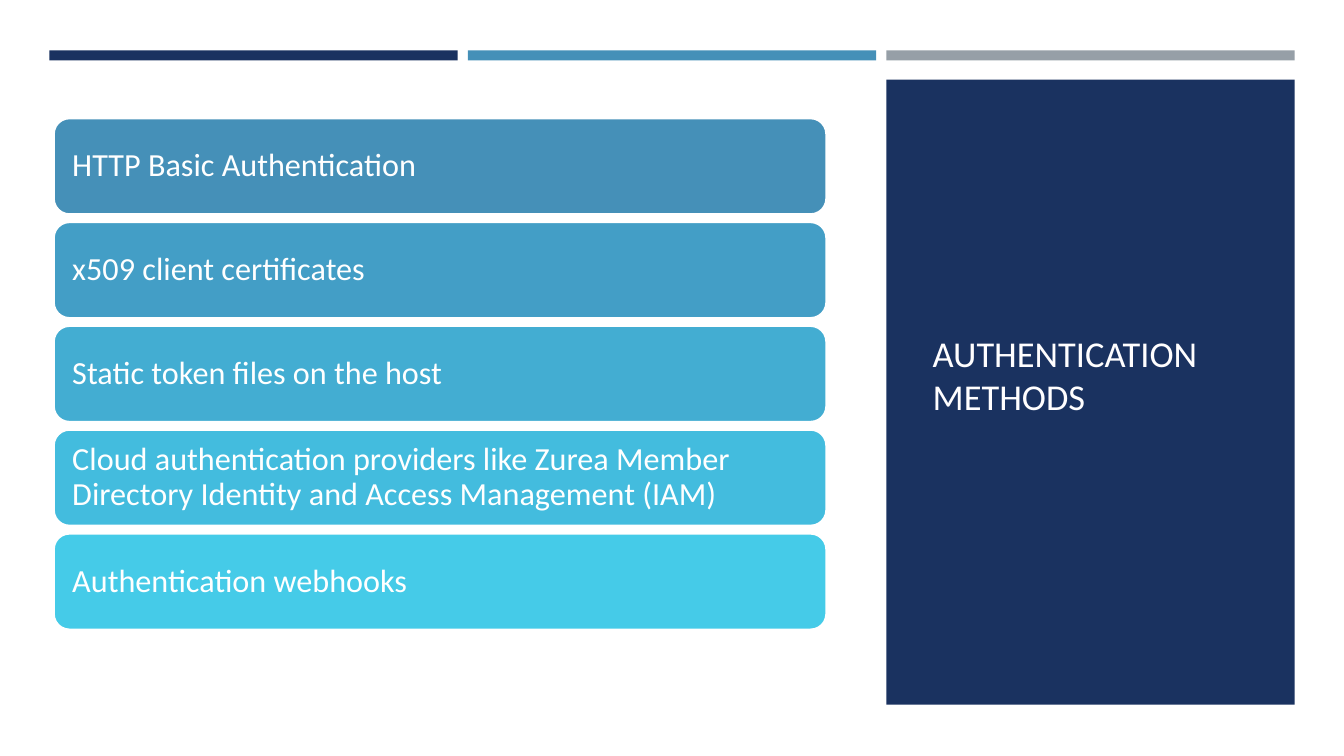
from pptx import Presentation
from pptx.dml.color import RGBColor
from pptx.enum.shapes import MSO_SHAPE as SHAPE
from pptx.enum.text import MSO_ANCHOR as ANCHOR, PP_ALIGN as ALIGN
from pptx.util import Inches, Pt

NAVY, BLUE, GREY, WHITE = "1A3260", "4590B8", "969FA7", "FFFFFF"

# Three-column grid, in inches
COL_LEFT, COL_WIDTH, COL_STEP = 0.49, 4.05, 4.15
# Stack of method cards, in inches
CARD_LEFT, CARD_TOP, CARD_WIDTH, CARD_HEIGHT, CARD_STEP = 0.53, 1.17, 7.67, 0.96, 1.03

METHODS = [
    ("HTTP Basic Authentication", BLUE),
    ("x509 client certificates", "439EC6"),
    ("Static token files on the host", "43ADD2"),
    ("Cloud authentication providers like Zurea Member "
     "Directory Identity and Access Management (IAM)", "43BCDE"),
    ("Authentication webhooks", "45CBE8"),
]


def rgb(color):
    return RGBColor.from_string(color)


def col_left(col):
    return COL_LEFT + col * COL_STEP


def set_attrs(obj, values):
    for name, value in values.items():
        setattr(obj, name, value)


def add_box(s, kind, box, fill, line=None):
    sp = s.shapes.add_shape(kind, *map(Inches, box))
    sp.shadow.inherit = False
    sp.fill.solid()
    sp.fill.fore_color.rgb = rgb(fill)
    if line:
        sp.line.color.rgb = rgb(line)
        sp.line.width = Pt(2)
    else:
        sp.line.fill.background()
    return sp


def write(sp, text, size, color, inset, spacing):
    tf = sp.text_frame
    set_attrs(tf, {"word_wrap": True, "vertical_anchor": ANCHOR.MIDDLE,
                   "margin_left": Inches(inset), "margin_right": Inches(inset)})
    p = tf.paragraphs[0]
    set_attrs(p, {"alignment": ALIGN.LEFT, "line_spacing": spacing})
    r = p.add_run()
    r.text = text
    set_attrs(r.font, {"name": "Calibri", "size": Pt(size)})
    r.font.color.rgb = rgb(color)


def add_card(s, row, text, fill):
    box = (CARD_LEFT, CARD_TOP + row * CARD_STEP, CARD_WIDTH, CARD_HEIGHT)
    sp = add_box(s, SHAPE.ROUNDED_RECTANGLE, box, fill, WHITE)
    write(sp, text, 23, WHITE, 0.14, 0.9)


def add_title(s, text):
    title = s.shapes.title
    set_attrs(title, {"left": Inches(9.15), "top": Inches(1.14),
                      "width": Inches(3.34), "height": Inches(5.15)})
    write(title, text, 26, "FFFEFF", 0.1, 1.0)
    # Bring the title in front of the panel
    s.shapes._spTree.append(title._element)


def main():
    prs = Presentation()
    prs.slide_width, prs.slide_height = Inches(13.33), Inches(7.5)
    s = prs.slides.add_slide(prs.slide_layouts[5])

    # Bars across the top
    for col, color in enumerate((NAVY, BLUE, GREY)):
        add_box(s, SHAPE.RECTANGLE, (col_left(col), 0.5, COL_WIDTH, 0.1), color)

    # Title panel in the last column
    add_box(s, SHAPE.RECTANGLE, (col_left(2), 0.79, COL_WIDTH, 6.2), NAVY)
    add_title(s, "AUTHENTICATION METHODS")

    # Method cards
    for row, (text, fill) in enumerate(METHODS):
        add_card(s, row, text, fill)

    prs.save("out.pptx")


if __name__ == "__main__":
    main()
